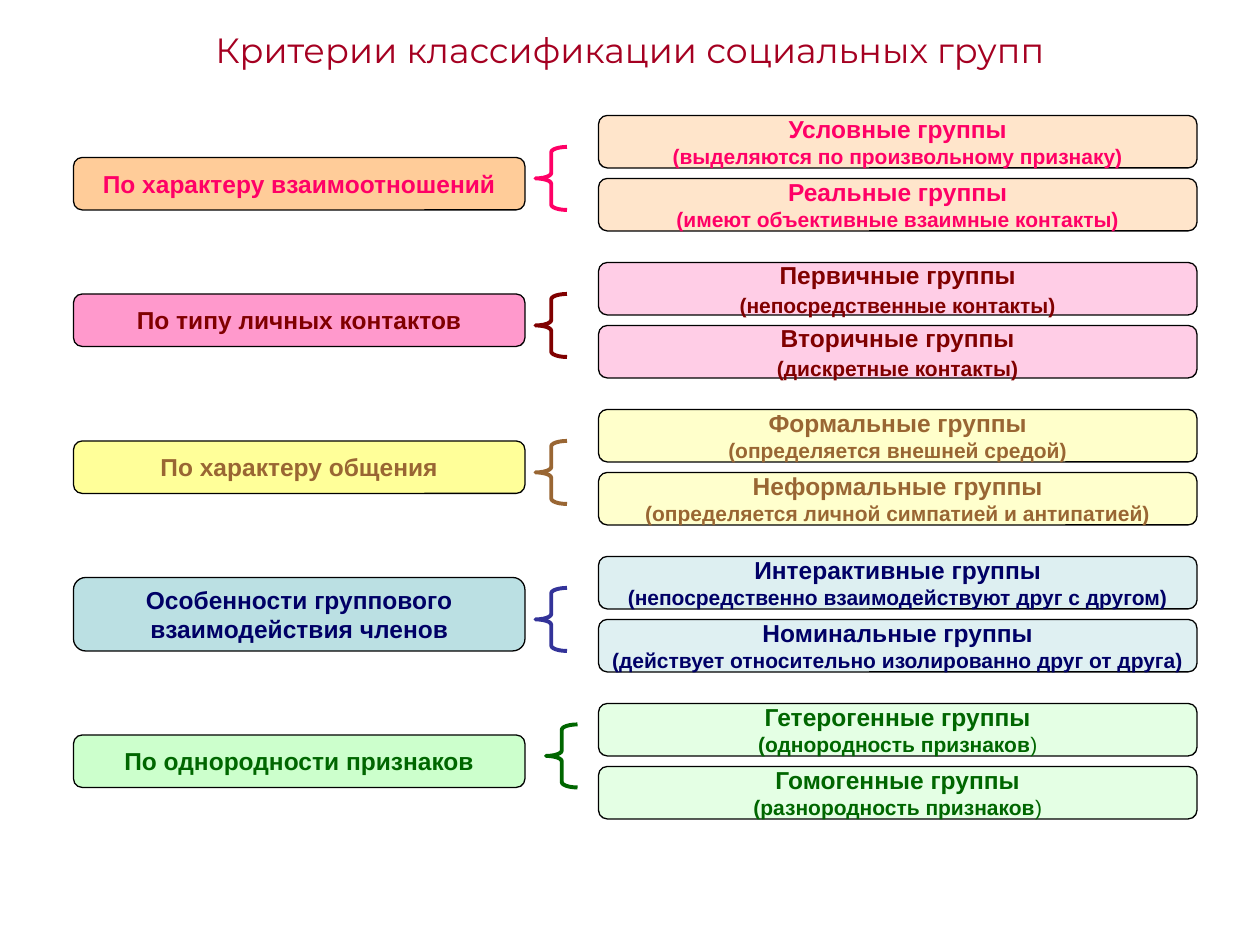
import pptx
import pptx.dml.color
import pptx.enum.shapes
import pptx.enum.text
import pptx.oxml
import pptx.oxml.ns
import pptx.util

PX = 7620  # EMU per px, 120 px to the inch
SHAPES = pptx.enum.shapes.MSO_SHAPE

COLORS = {
    "title": "A50021", "outline": "000000",
    "orange": "FFCC99", "crimson": "FF0066",
    "pink": "FF99CC", "maroon": "800000",
    "yellow": "FFFF99", "brown": "996633",
    "teal": "BBE0E3", "navy": "000066", "indigo": "333399",
    "mint": "CCFFCC", "green": "006600",
}

# label lines, label top and height, fill, text colour, brace colour, brace left and top,
# space before the note in points, kinds of group: name, bold note, plain ending, fill opacity in %
CRITERIA = [
    (["По характеру взаимоотношений"], 150, 50, "orange", "crimson", "crimson", 510, 140, 0, [
        ("Условные группы", "(выделяются по произвольному признаку)", "", 51),
        ("Реальные группы", "(имеют объективные взаимные контакты)", "", 51)]),
    (["По типу личных контактов"], 280, 50, "pink", "maroon", "maroon", 510, 280, 2, [
        ("Первичные группы", "(непосредственные контакты)", "", 49),
        ("Вторичные группы", "(дискретные контакты)", "", 49)]),
    (["По характеру общения"], 420, 50, "yellow", "brown", "brown", 510, 420, 0, [
        ("Формальные группы", "(определяется внешней средой)", "", 50),
        ("Неформальные группы", "(определяется личной симпатией и антипатией)", "", 49)]),
    (["Особенности группового", "взаимодействия членов"], 550, 70, "teal", "navy", "indigo", 510, 560, 0, [
        ("Интерактивные группы", "(непосредственно взаимодействуют друг с другом)", "", 49),
        ("Номинальные группы", "(действует относительно изолированно друг от друга)", "", 46)]),
    (["По однородности признаков"], 700, 50, "mint", "green", "green", 520, 690, 0, [
        ("Гетерогенные группы", "(однородность признаков", ")", 52),
        ("Гомогенные группы", "(разнородность признаков", ")", 53)]),
]


def rgb(name):
    return pptx.dml.color.RGBColor.from_string(COLORS[name])


def add_box(left, top, width, height, fill, ink, lines):
    """Add a rounded box with centred lines, each given as text and point size."""
    box = slide.shapes.add_shape(
        SHAPES.ROUNDED_RECTANGLE, left * PX, top * PX, width * PX, height * PX)
    box.shadow.inherit = False
    box.fill.solid()
    box.fill.fore_color.rgb = rgb(fill)
    box.line.color.rgb = rgb("outline")
    box.line.width = pptx.util.Pt(0.75)
    frame = box.text_frame
    frame.word_wrap = False
    frame.vertical_anchor = pptx.enum.text.MSO_ANCHOR.MIDDLE
    for index, (text, size) in enumerate(lines):
        paragraph = frame.add_paragraph() if index else frame.paragraphs[0]
        paragraph.alignment = pptx.enum.text.PP_ALIGN.CENTER
        paragraph.add_run().text = text
        paragraph.font.name = "Arial"
        paragraph.font.size = pptx.util.Pt(size)
        paragraph.font.bold = True
        paragraph.font.color.rgb = rgb(ink)
    return box


presentation = pptx.Presentation()
presentation.slide_width = 1200 * PX
presentation.slide_height = 900 * PX
slide = presentation.slides.add_slide(presentation.slide_layouts[6])

heading = slide.shapes.add_textbox(60 * PX, 20 * PX, 1080 * PX, 54 * PX).text_frame
heading.word_wrap = True
heading.vertical_anchor = pptx.enum.text.MSO_ANCHOR.MIDDLE
title = heading.paragraphs[0]
title.text = "Критерии классификации социальных групп"
title.alignment = pptx.enum.text.PP_ALIGN.CENTER
title.font.name = "Montserrat"
title.font.size = pptx.util.Pt(20)
title.font.color.rgb = rgb("title")

for row, (label, label_top, label_height, fill, ink, brace_color,
          brace_left, brace_top, note_gap, kinds) in enumerate(CRITERIA):
    add_box(70, label_top, 430, label_height, fill, ink, [(line, 14) for line in label])

    for position, (name, note, plain_ending, opacity) in enumerate(kinds):
        kind_box = add_box(570, 110 + 140 * row + 60 * position, 570, 50, fill, ink,
                           [(name, 14), (note, 12)])
        fill_color = kind_box.fill._xPr.find(".//" + pptx.oxml.ns.qn("a:srgbClr"))
        alpha = pptx.oxml.parse_xml(
            f'<a:alpha {pptx.oxml.ns.nsdecls("a")} val="{opacity * 1000}"/>')
        fill_color.append(alpha)
        note_paragraph = kind_box.text_frame.paragraphs[1]
        note_paragraph.space_before = pptx.util.Pt(note_gap)
        if plain_ending:
            ending = note_paragraph.add_run()
            ending.text = plain_ending
            ending.font.bold = False

    brace = slide.shapes.add_shape(
        SHAPES.LEFT_BRACE, brace_left * PX, brace_top * PX, 30 * PX, 60 * PX)
    brace.adjustments[0] = 0.17
    brace.shadow.inherit = False
    brace.fill.background()
    brace.line.color.rgb = rgb(brace_color)
    brace.line.width = pptx.util.Pt(2.25)

presentation.save("out.pptx")
